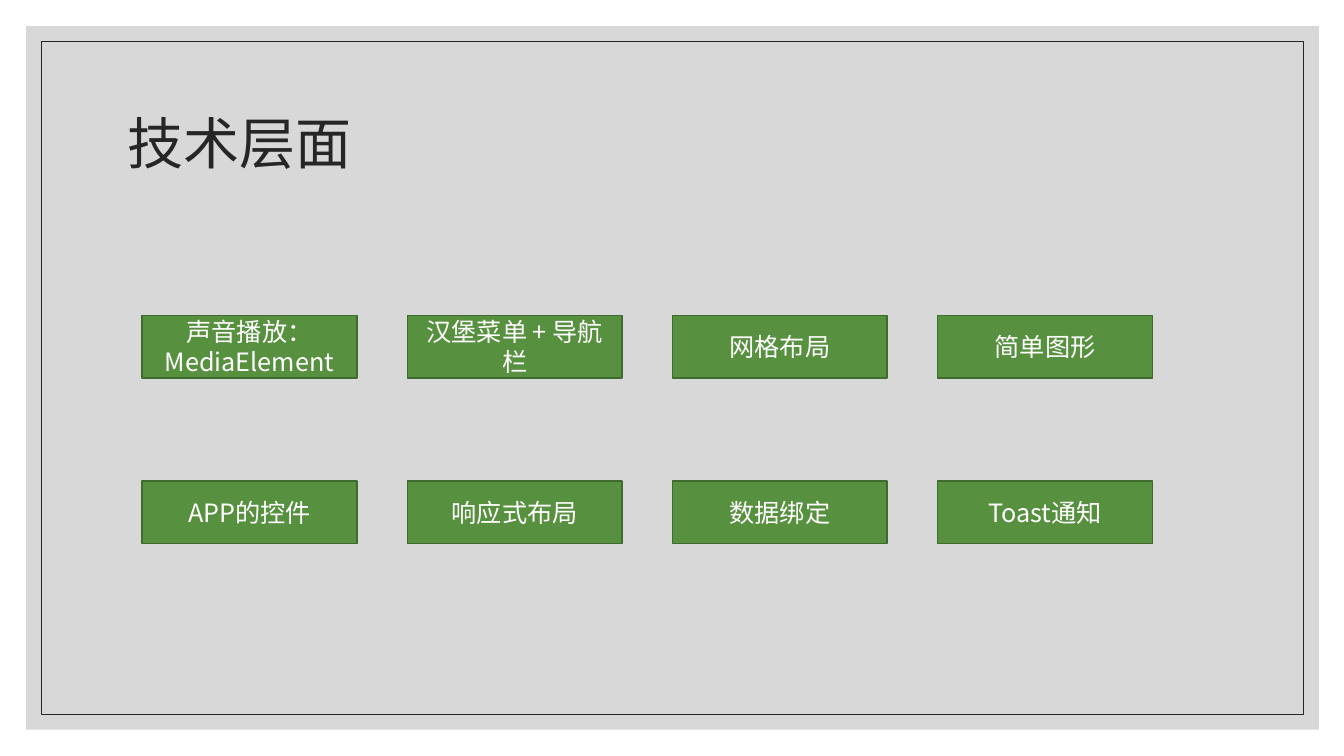
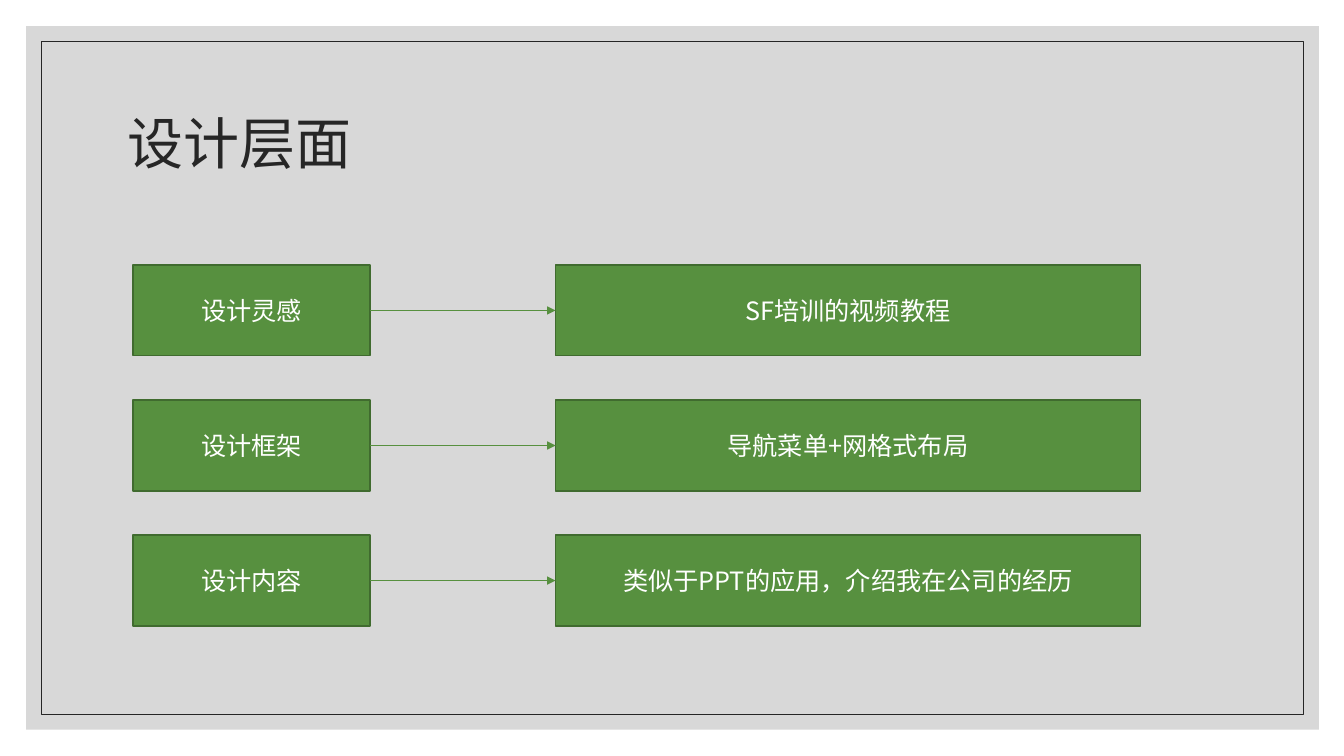
import pptx
import pptx.dml.color
import pptx.enum.shapes
import pptx.enum.text
import pptx.oxml.ns
import pptx.util
from lxml import etree

Inches = pptx.util.Inches
Pt = pptx.util.Pt
RGBColor = pptx.dml.color.RGBColor
qn = pptx.oxml.ns.qn
ANCHOR = pptx.enum.text.MSO_ANCHOR
ALIGN = pptx.enum.text.PP_ALIGN
SHAPE = pptx.enum.shapes.MSO_SHAPE
CONNECTOR = pptx.enum.shapes.MSO_CONNECTOR

# Shared style
FONT = "Noto Sans CJK SC"
GREEN = RGBColor(0x57, 0x90, 0x3F)
DARK_GREEN = RGBColor(0x40, 0x6B, 0x2F)
GREY = RGBColor(0xBF, 0xBF, 0xBF)
INK = RGBColor(0x26, 0x26, 0x26)
WHITE = RGBColor(0xFF, 0xFF, 0xFF)

# Slide content
TOPICS = [
    ["声音播放：MediaElement", "汉堡菜单 + 导航栏", "网格布局", "简单图形"],
    ["APP的控件", "响应式布局", "数据绑定", "Toast通知"],
]
DESIGN = [
    ("设计灵感", "SF培训的视频教程"),
    ("设计框架", "导航菜单+网格式布局"),
    ("设计内容", "类似于PPT的应用，介绍我在公司的经历"),
]


def write(sp, text, size, color, align):
    """Put one vertically centred paragraph into a shape."""
    tf = sp.text_frame
    tf.word_wrap = True
    tf.vertical_anchor = ANCHOR.MIDDLE
    p = tf.paragraphs[0]
    p.alignment = align
    r = p.add_run()
    r.text = text
    r.font.size = Pt(size)
    r.font.color.rgb = color
    r.font.name = FONT
    etree.SubElement(r._r.get_or_add_rPr(), qn("a:ea"), typeface=FONT)
    return p


def add_rect(s, left, top, width, height, fill=None, line=None, weight=1):
    sp = s.shapes.add_shape(SHAPE.RECTANGLE, Inches(left), Inches(top),
                            Inches(width), Inches(height))
    sp.shadow.inherit = False
    if fill is None:
        sp.fill.background()
    else:
        sp.fill.solid()
        sp.fill.fore_color.rgb = fill
    if line is None:
        sp.line.fill.background()
    else:
        sp.line.color.rgb = line
        sp.line.width = Pt(weight)
    return sp


def add_box(s, left, top, width, height, text):
    sp = add_rect(s, left, top, width, height, GREEN, DARK_GREEN)
    write(sp, text, 18, WHITE, ALIGN.CENTER)
    return sp


def add_arrow(s, source, target):
    """Join the right side of source to the left side of target."""
    cn = s.shapes.add_connector(CONNECTOR.STRAIGHT, 0, 0, 0, 0)
    cn.begin_connect(source, 3)
    cn.end_connect(target, 1)
    cn.line.color.rgb = GREEN
    cn.line.width = Pt(0.5)
    etree.SubElement(cn.line._get_or_add_ln(), qn("a:tailEnd"), type="triangle")
    etree.SubElement(cn._element.spPr, qn("a:effectLst"))


def add_framed_slide(prs, title):
    s = prs.slides.add_slide(prs.slide_layouts[6])
    # Translucent panel and thin inner frame
    panel = add_rect(s, 0.26, 0.26, 12.82, 6.98, GREY)
    color = panel._element.spPr.find(qn("a:solidFill")).find(qn("a:srgbClr"))
    etree.SubElement(color, qn("a:alpha"), val="60000")
    add_rect(s, 0.41, 0.41, 12.52, 6.68, line=INK, weight=0.5)
    # Title
    sp = s.shapes.add_textbox(Inches(1.17), Inches(0.7), Inches(11), Inches(1.5))
    write(sp, title, 40, INK, ALIGN.LEFT).line_spacing = 0.9
    return s


def add_topic_grid(s, rows):
    for i, row in enumerate(rows):
        for j, text in enumerate(row):
            add_box(s, 1.41 + 2.63 * j, 3.13 + 1.64 * i, 2.13, 0.62, text)


def add_arrow_rows(s, rows):
    for i, (label, detail) in enumerate(rows):
        top = 2.63 + 1.34 * i
        source = add_box(s, 1.32, top, 2.35, 0.9, label)
        target = add_box(s, 5.51, top, 5.8, 0.9, detail)
        add_arrow(s, source, target)


def main():
    prs = pptx.Presentation()
    prs.slide_width = Inches(13.33)
    prs.slide_height = Inches(7.5)
    add_topic_grid(add_framed_slide(prs, "技术层面"), TOPICS)
    add_arrow_rows(add_framed_slide(prs, "设计层面"), DESIGN)
    prs.save("out.pptx")


if __name__ == "__main__":
    main()
